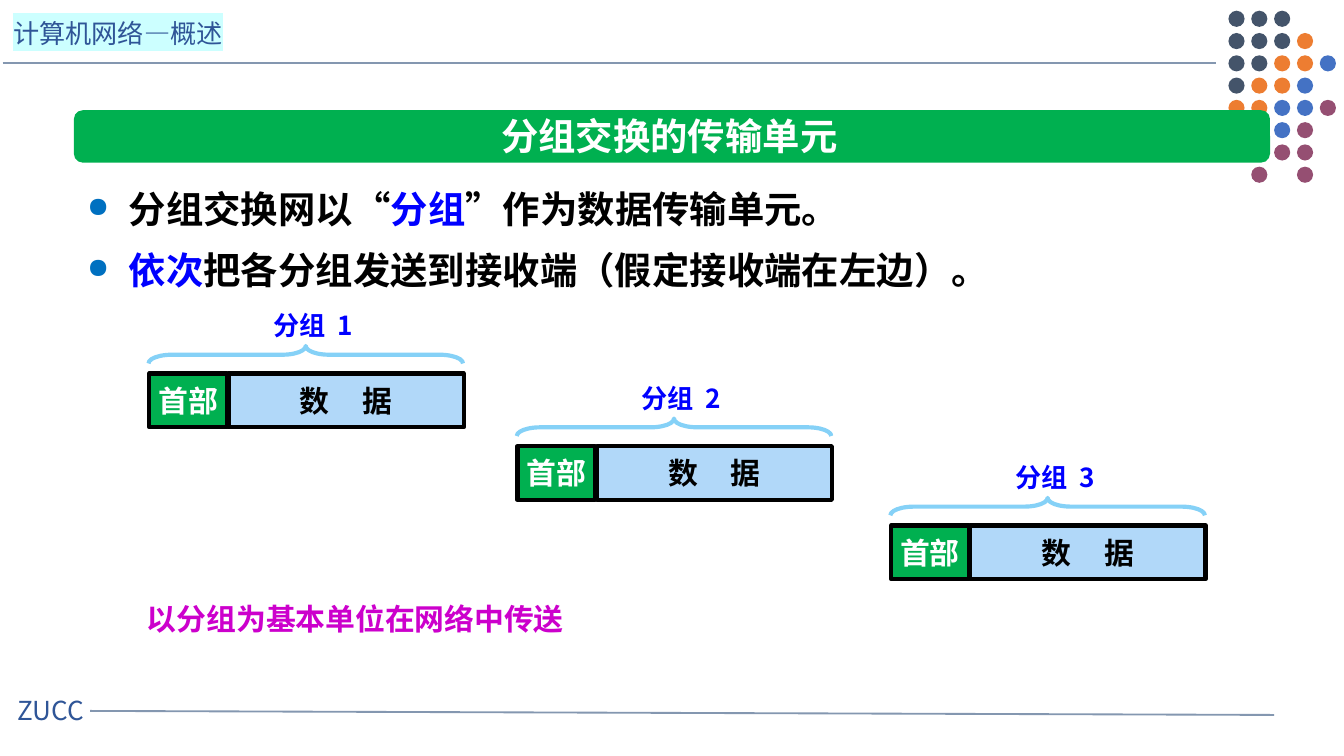
from lxml import etree
from pptx import Presentation
from pptx.dml.color import RGBColor
from pptx.enum.lang import MSO_LANGUAGE_ID
from pptx.enum.shapes import MSO_CONNECTOR, MSO_SHAPE
from pptx.enum.text import MSO_ANCHOR, PP_ALIGN
from pptx.oxml.ns import qn
from pptx.util import Inches, Pt

CENTER, LEFT = PP_ALIGN.CENTER, PP_ALIGN.LEFT
TOP, MIDDLE = MSO_ANCHOR.TOP, MSO_ANCHOR.MIDDLE
STRAIGHT = MSO_CONNECTOR.STRAIGHT
OVAL, RECTANGLE = MSO_SHAPE.OVAL, MSO_SHAPE.RECTANGLE
ROUNDED, BRACE = MSO_SHAPE.ROUNDED_RECTANGLE, MSO_SHAPE.LEFT_BRACE
CHINESE = MSO_LANGUAGE_ID.SIMPLIFIED_CHINESE

CJK_FONT = "Noto Sans CJK SC"
BLACK = RGBColor(0x00, 0x00, 0x00)
WHITE = RGBColor(0xFF, 0xFF, 0xFF)
BLUE = RGBColor(0x00, 0x00, 0xFF)
GREEN = RGBColor(0x00, 0xB0, 0x50)
MAGENTA = RGBColor(0xCC, 0x00, 0xCC)
HEADER_BLUE = RGBColor(0x2F, 0x55, 0x97)
HEADER_HIGHLIGHT = RGBColor(0xCC, 0xFF, 0xFF)
RULE_GRAY = RGBColor(0x84, 0x97, 0xB0)
BULLET_BLUE = RGBColor(0x00, 0x70, 0xC0)
DATA_BLUE = RGBColor(0xB1, 0xD8, 0xF9)
BRACE_BLUE = RGBColor(0x85, 0xD1, 0xF7)
DOT_COLORS = {
    "N": RGBColor(0x44, 0x54, 0x6A),
    "O": RGBColor(0xED, 0x7D, 0x31),
    "B": RGBColor(0x44, 0x72, 0xC4),
    "P": RGBColor(0x95, 0x4F, 0x72),
}


def add_text(frame, runs, size, color=BLACK, bold=True, font=CJK_FONT, align=LEFT,
             anchor=TOP, wrap=True, highlight=None, bullet=None, spacing=None, gap=0):
    """Write one paragraph of (text, color) runs, or plain text; gap widens space runs, in points."""
    frame.word_wrap = wrap
    frame.vertical_anchor = anchor
    paragraph = frame.paragraphs[0]
    if paragraph.runs:
        paragraph = frame.add_paragraph()
    paragraph.alignment = align
    if spacing:
        paragraph.line_spacing = Pt(spacing)
    if bullet:
        properties = paragraph._p.get_or_add_pPr()
        properties.set("marL", str(Inches(0.31)))
        properties.set("indent", str(-Inches(0.31)))
        bullet_color = etree.SubElement(properties, qn("a:buClr"))
        etree.SubElement(bullet_color, qn("a:srgbClr"), val=str(BULLET_BLUE))
        etree.SubElement(properties, qn("a:buSzPct"), val="75000")
        etree.SubElement(properties, qn("a:buChar"), char=bullet)
    if isinstance(runs, str):
        runs = [(runs, color)]
    for text, run_color in runs:
        run = paragraph.add_run()
        run.text = text
        run.font.size = Pt(size)
        run.font.bold = bold
        run.font.name = font
        run.font.language_id = CHINESE
        run.font.color.rgb = run_color
        properties = run._r.get_or_add_rPr()
        latin = properties.find(qn("a:latin"))
        latin.addnext(etree.Element(qn("a:ea"), typeface=CJK_FONT))
        if highlight:
            marker = etree.Element(qn("a:highlight"))
            etree.SubElement(marker, qn("a:srgbClr"), val=str(highlight))
            latin.addprevious(marker)
        if gap and text == " ":
            properties.set("spc", str(gap * 100))


def add_box(shapes, kind, left, top, width, height, fill=None, line=None):
    shape = shapes.add_shape(kind, Inches(left), Inches(top), Inches(width), Inches(height))
    shape.shadow.inherit = False
    if fill is None:
        shape.fill.background()
    else:
        shape.fill.solid()
        shape.fill.fore_color.rgb = fill
    if line is None:
        shape.line.fill.background()
    else:
        shape.line.color.rgb = line
        shape.line.width = Pt(2.25)
    return shape


presentation = Presentation()
presentation.slide_width = Inches(10)
presentation.slide_height = Inches(10) * 9 // 16
slide = presentation.slides.add_slide(presentation.slide_layouts[6])
shapes = slide.shapes

# Header and footer
for x1, y1, x2, y2 in [(0.02, 0.47, 9.05, 0.47), (0.67, 5.29, 9.48, 5.32)]:
    rule = shapes.add_connector(STRAIGHT, Inches(x1), Inches(y1), Inches(x2), Inches(y2))
    rule.line.color.rgb = RULE_GRAY
    rule.line.width = Pt(1)
    etree.SubElement(rule._element.spPr, qn("a:effectLst"))

footer = shapes.add_textbox(Inches(0.03), Inches(5.12), Inches(0.89), Inches(0.34))
add_text(footer.text_frame, "ZUCC", 14, HEADER_BLUE, bold=False)
header = shapes.add_textbox(Inches(0), Inches(0.08), Inches(2.16), Inches(0.34))
add_text(header.text_frame, "计算机网络—概述", 14, HEADER_BLUE, bold=False,
         highlight=HEADER_HIGHLIGHT)

# Corner dots: one letter per dot colour, "." for an empty place
dots = shapes.add_group_shape().shapes
DOT_ROWS = ["NNN", "NNNO", "NNOOB", "NOOB", "OOBBP", "..BP", "..PP", ".P.P"]
for row, letters in enumerate(DOT_ROWS):
    for column, letter in enumerate(letters):
        if letter in DOT_COLORS:
            add_box(dots, OVAL, 9.14 + 0.17 * column, 0.08 + 1.16 / 7 * row,
                    0.12, 0.12, DOT_COLORS[letter])

# Title banner
banner = add_box(shapes, ROUNDED, 0.55, 0.82, 8.9, 0.39, GREEN)
banner.adjustments[0] = 0.17
title = shapes.add_textbox(Inches(3.63), Inches(0.79), Inches(2.73), Inches(0.44))
add_text(title.text_frame, "分组交换的传输单元", 20, WHITE, font="Calibri", wrap=False)

# Bullets
body = shapes.add_textbox(Inches(0.55), Inches(1.21), Inches(8.49), Inches(1.03))
for runs in [
    [("分组交换网以“", BLACK), ("分组", BLUE), ("”作为数据传输单元。", BLACK)],
    [("依次", BLUE), ("把各分组发送到接收端（假定接收端在左边）。", BLACK)],
]:
    add_text(body.text_frame, runs, 20, bullet="●", spacing=33)

# Packets
for number, (left, top) in enumerate([(1.11, 2.78), (3.85, 3.32), (6.63, 3.91)], start=1):
    packet = shapes.add_group_shape().shapes
    data = add_box(packet, RECTANGLE, left + 0.59, top, 1.75, 0.4, DATA_BLUE, BLACK)
    add_text(data.text_frame, [("数", BLACK), (" ", BLACK), ("据", BLACK)], 16,
             align=CENTER, anchor=MIDDLE, wrap=False, gap=14)
    head = add_box(packet, RECTANGLE, left, top, 0.58, 0.4, GREEN, BLACK)
    add_text(head.text_frame, "首部", 16, WHITE, align=CENTER, anchor=MIDDLE, wrap=False)
    brace = add_box(packet, BRACE, left + 1.1, top - 1.31, 0.13, 2.34, line=BRACE_BLUE)
    brace.rotation = 90
    brace.adjustments[0] = 1.34
    label = packet.add_textbox(Inches(left + 0.83), Inches(top - 0.53),
                               Inches(0.78), Inches(0.34))
    label.text_frame.margin_left = label.text_frame.margin_right = Inches(0)
    add_text(label.text_frame, [("分组", BLUE), (" ", BLUE), (str(number), BLUE)], 14,
             align=CENTER, anchor=MIDDLE, wrap=False, gap=3)

conclusion = shapes.add_textbox(Inches(0.9), Inches(4.42), Inches(3.49), Inches(0.37))
add_text(conclusion.text_frame, "以分组为基本单位在网络中传送", 16, MAGENTA, align=CENTER)

presentation.save("out.pptx")
